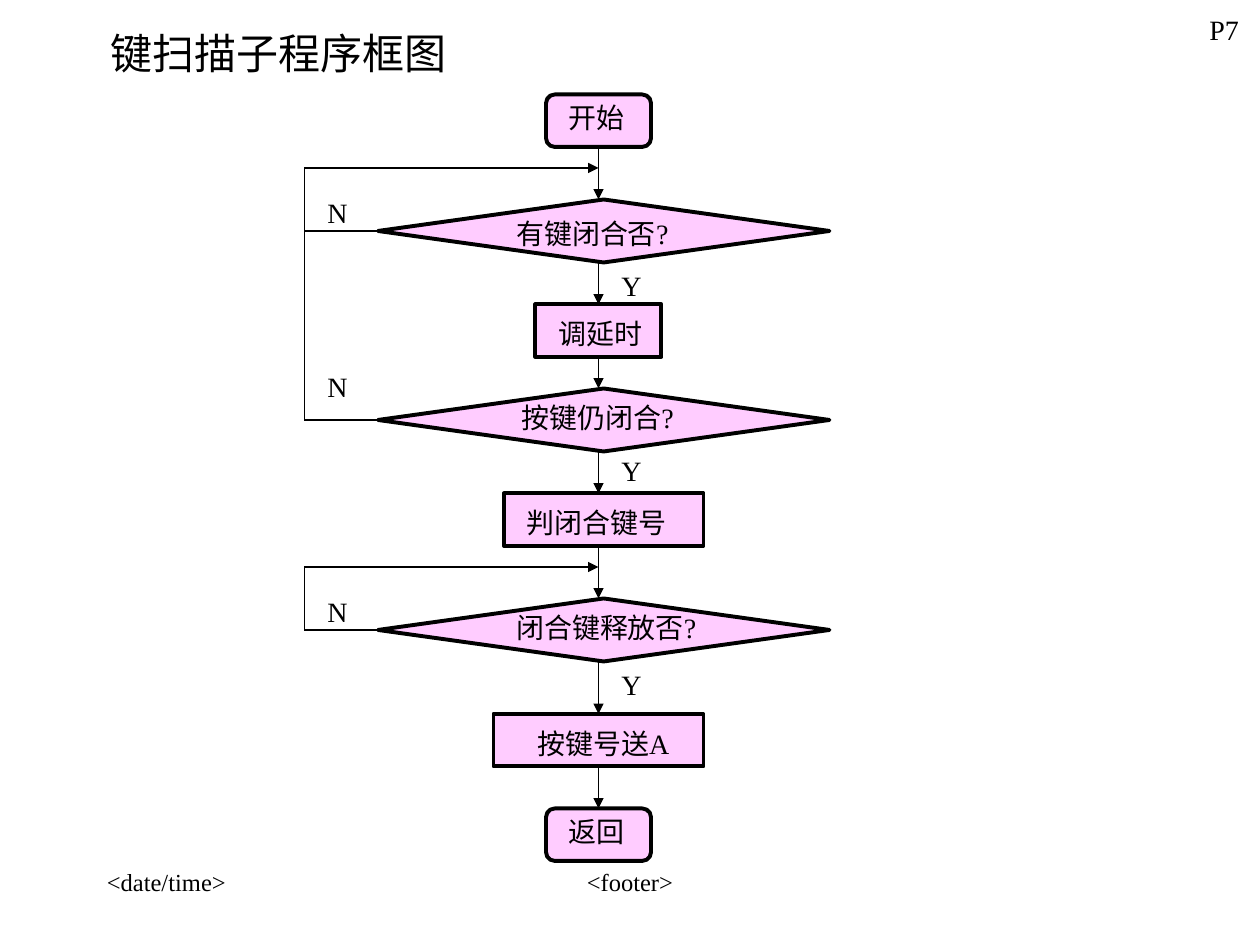
from lxml import etree
from pptx import Presentation
from pptx.dml.color import RGBColor
from pptx.enum.shapes import MSO_CONNECTOR, MSO_SHAPE
from pptx.enum.text import MSO_ANCHOR, PP_ALIGN
from pptx.oxml.ns import qn
from pptx.util import Cm, Pt

LINE = MSO_CONNECTOR.STRAIGHT
TERM = MSO_SHAPE.FLOWCHART_ALTERNATE_PROCESS
TEST = MSO_SHAPE.FLOWCHART_DECISION
STEP = MSO_SHAPE.FLOWCHART_PROCESS
LEFT, CENTER = PP_ALIGN.LEFT, PP_ALIGN.CENTER
TOP, MIDDLE = MSO_ANCHOR.TOP, MSO_ANCHOR.MIDDLE

COLORS = {"ink": "000000", "pink": "FFCCFF"}
FONT = "Times New Roman"
SPINE, RAIL = 57, 29  # x of the main flow and of the return loops
TALL = {TERM: 5, TEST: 6, STEP: 5}

# kind, left, top, width, then label text with its left, top, width
NODES = [
    (TERM, 52, 9, 10, "开始", 53, 9, 9),
    (TEST, 36, 19, 43, "有键闭合否?", 48, 20, 20),
    (STEP, 51, 29, 12, "调延时", 52, 29.6, 12),
    (TEST, 36, 37, 43, "按键仍闭合?", 48.5, 37.6, 24),
    (STEP, 48, 47, 19, "判闭合键号", 49, 47.6, 17),
    (TEST, 36, 57, 43, "闭合键释放否?", 48, 57.6, 21),
    (STEP, 47, 68, 20, "按键号送A", 50, 68.6, 18),
    (TERM, 52, 77, 10, "返回", 53, 77, 10),
]
# y of the loop's entry, then y of each exit that feeds it
LOOPS = [(16, (22, 40)), (54, (60,))]
MARKS = {("N", 30): (18, 34.6, 56), ("Y", 58): (25, 42.6, 63)}


def grid(n):
    """Length of n grid steps, twelve to the inch."""
    return Cm(n * 2.54 / 12)


def color(name):
    return RGBColor.from_string(COLORS[name])


def add_text(slide, text, x, y, w, h=4.4, size=16, align=LEFT, anchor=TOP):
    box = slide.shapes.add_textbox(grid(x), grid(y), grid(w), grid(h))
    frame = box.text_frame
    frame.word_wrap = True
    frame.vertical_anchor = anchor
    para = frame.paragraphs[0]
    para.alignment = align
    run = para.add_run()
    run.text = text
    run.font.name = FONT
    run.font.size = Pt(size)
    run.font.color.rgb = color("ink")


def add_node(slide, kind, x, y, w):
    node = slide.shapes.add_shape(kind, grid(x), grid(y), grid(w), grid(TALL[kind]))
    node.shadow.inherit = False
    node.fill.solid()
    node.fill.fore_color.rgb = color("pink")
    node.line.color.rgb = color("ink")
    node.line.width = Pt(2.25)


def add_line(slide, x1, y1, x2, y2, arrow=False):
    line = slide.shapes.add_connector(LINE, grid(x1), grid(y1), grid(x2), grid(y2))
    line.line.color.rgb = color("ink")
    line.line.width = Pt(0.75)
    props = line._element.spPr
    if arrow:
        etree.SubElement(props.find(qn("a:ln")), qn("a:tailEnd"), type="triangle")
    etree.SubElement(props, qn("a:effectLst"))


def add_loop(slide, entry, exits):
    add_line(slide, RAIL, entry, SPINE, entry, arrow=True)
    add_line(slide, RAIL, entry, RAIL, exits[-1])
    for y in exits:
        add_line(slide, 36, y, RAIL, y)


def main():
    deck = Presentation()
    deck.slide_width, deck.slide_height = Cm(25.4), Cm(19.05)
    slide = deck.slides.add_slide(deck.slide_layouts[6])

    # Footer, title and page number
    add_text(slide, "<footer>", 41, 82, 38, 6, 14, CENTER)
    add_text(slide, "<date/time>", 9, 82, 25, 6, 14)
    add_text(slide, "键扫描子程序框图", 8, 3, 37, 4, 24, CENTER, MIDDLE)
    add_text(slide, "P7", 114, 0.6, 6)

    # Flow boxes
    for kind, x, y, w, *_ in NODES:
        add_node(slide, kind, x, y, w)

    # Arrows down the flow
    for (kind, _, y, *_), (_, _, below, *_) in zip(NODES, NODES[1:]):
        add_line(slide, SPINE, y + TALL[kind], SPINE, below, arrow=True)

    # Return loops
    for entry, exits in LOOPS:
        add_loop(slide, entry, exits)

    # Labels and branch marks
    for *_, text, x, y, w in NODES:
        add_text(slide, text, x, y, w)
    for (text, x), tops in MARKS.items():
        for y in tops:
            add_text(slide, text, x, y, 5)

    deck.save("out.pptx")


if __name__ == "__main__":
    main()
